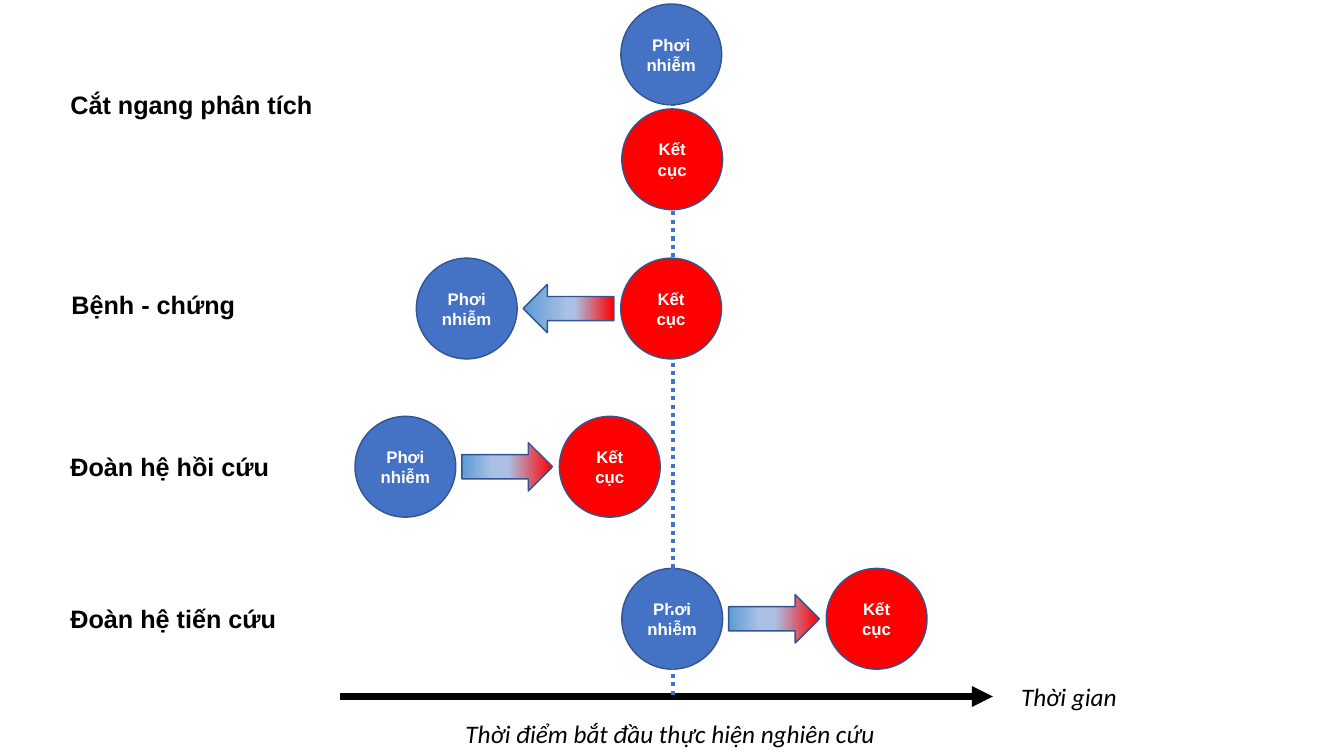
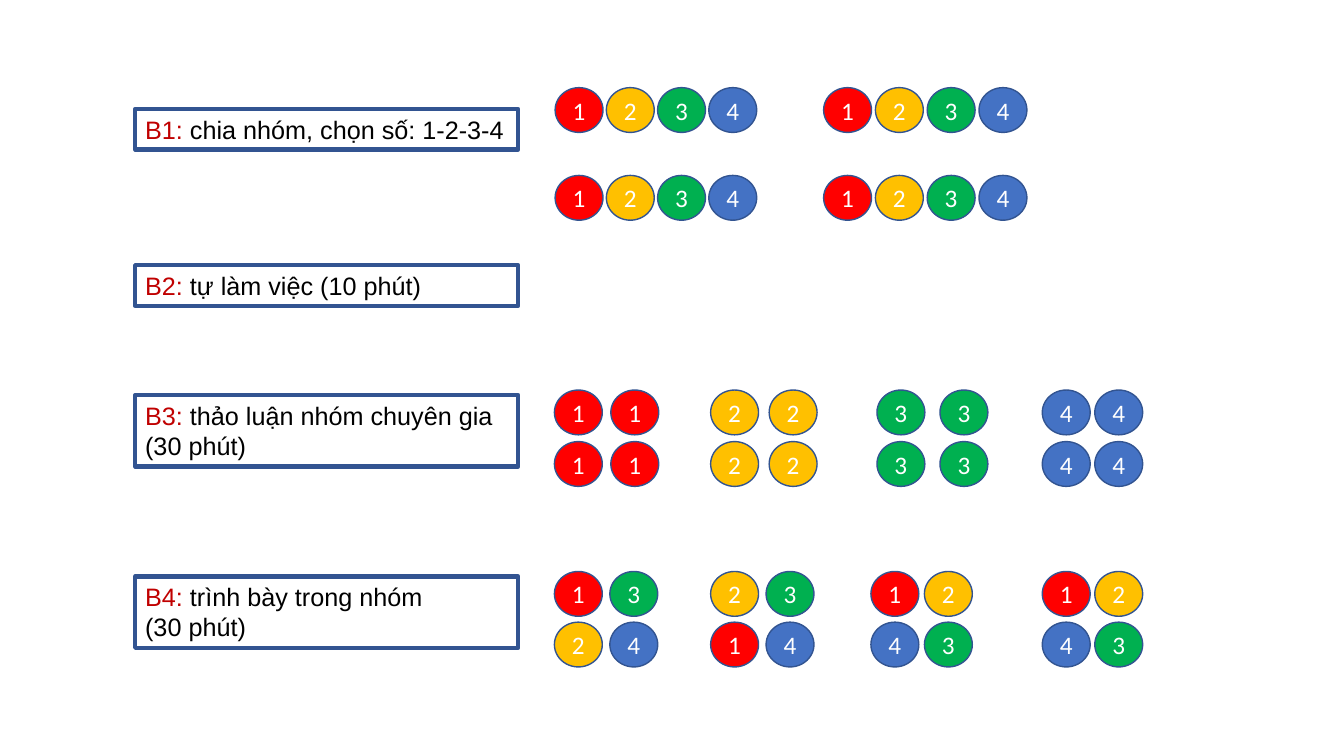
import dataclasses
import typing

import lxml.etree
import pptx
import pptx.dml.color
import pptx.enum.dml
import pptx.enum.shapes
import pptx.enum.text
import pptx.oxml
import pptx.oxml.ns
import pptx.util

Pt = pptx.util.Pt
SHAPE = pptx.enum.shapes.MSO_SHAPE
ALIGN = pptx.enum.text.PP_ALIGN
ANCHOR = pptx.enum.text.MSO_ANCHOR
AUTO_SIZE = pptx.enum.text.MSO_AUTO_SIZE

COLORS = {
    "blue": "4472C4",
    "red": "FF0000",
    "yellow": "FFC000",
    "green": "00B050",
    "outline": "325491",
    "sky": "5B9BD5",
    "pale": "ABC0E4",
    "step": "C00000",
    "black": "000000",
    "white": "FFFFFF",
}
NUMBER_COLORS = {"1": "red", "2": "yellow", "3": "green", "4": "blue"}

DISC = 72
ARROW_W, ARROW_H = 64.8, 34.6
ARROW_DX, OUTCOME_DX = 76.3, 146
NUMBER_W, NUMBER_H = 34.2, 32


@dataclasses.dataclass
class Design:
    """An exposure and an outcome joined by an arrow."""
    left: float
    top: float
    backward: bool = False


@dataclasses.dataclass
class Label:
    """One line of unwrapped text."""
    text: str
    left: float
    top: float
    width: float


@dataclasses.dataclass
class Step:
    """A framed instruction: its number and its paragraphs."""
    name: str
    lines: list[str]
    top: float
    height: float


@dataclasses.dataclass
class Cluster:
    """A grid of numbered discs, one string per row."""
    left: float
    top: float
    dx: float
    dy: float
    rows: list[str]


PROSPECTIVE = Design(444.2, 406)
EARLIER_DESIGNS = [Design(253.6, 297.4), Design(297.4, 184.4, backward=True)]

DESIGN_LABELS = [
    Label("Cắt ngang phân tích", 43.2, 60.5, 189.4),
    Label("Bệnh - chứng", 43.9, 203, 132.5),
    Label("Đoàn hệ hồi cứu", 43.2, 319, 157.7),
    Label("Đoàn hệ tiến cứu", 43.2, 427.7, 162.7),
]
AXIS_LABELS = [
    Label("Thời gian", 722.2, 483.1, 82.8),
    Label("Thời điểm bắt đầu thực hiện nghiên cứu", 325.4, 509.8, 310.3),
]

STEPS = [
    Step("B1:", ["chia nhóm, chọn số: 1-2-3-4"], 77.8, 29),
    Step("B2:", ["tự làm việc (10 phút)"], 189.4, 29),
    Step("B3:", ["thảo luận nhóm chuyên gia (30 phút)"], 282.2, 51),
    Step("B4:", ["trình bày trong nhóm", "(30 phút)"], 411.8, 51),
]
CLUSTERS = [
    Cluster(396.5, 62.6, 36.6, 62.7, ["1234", "1234"]),
    Cluster(588.3, 62.6, 37, 62.7, ["1234", "1234"]),
    Cluster(396, 278.6, 40.3, 36.8, ["11", "11"]),
    Cluster(507.6, 278.6, 41.8, 36.8, ["22", "22"]),
    Cluster(626.4, 278.6, 45, 36.8, ["33", "33"]),
    Cluster(744.5, 278.6, 37.5, 36.8, ["44", "44"]),
    Cluster(396, 408.2, 39.6, 36.2, ["13", "24"]),
    Cluster(507.6, 408.2, 39.6, 36.2, ["23", "14"]),
    Cluster(622.1, 408.2, 38.2, 36.2, ["12", "43"]),
    Cluster(744.5, 408.2, 37.5, 36.2, ["12", "43"]),
]


def rgb(name: str) -> pptx.dml.color.RGBColor:
    """Return the named colour."""
    return pptx.dml.color.RGBColor.from_string(COLORS[name])


def set_font(font: typing.Any, name: str, size: float,
             color: str | None = None, bold: bool = False,
             italic: bool = False) -> None:
    """Style a paragraph font."""
    font.name, font.size = name, Pt(size)
    font.bold, font.italic = bold, italic
    if color:
        font.color.rgb = rgb(color)


def add_outlined(slide: typing.Any, kind: typing.Any, left: float, top: float,
                 width: float, height: float, weight: float = 1) -> typing.Any:
    """Add a shadowless shape with the shared outline."""
    sp = slide.shapes.add_shape(kind, Pt(left), Pt(top), Pt(width), Pt(height))
    sp.shadow.inherit = False
    sp.line.color.rgb = rgb("outline")
    sp.line.width = Pt(weight)
    return sp


def add_disc(slide: typing.Any, left: float, top: float, width: float,
             height: float, fill: str, text: str, font: str, size: float,
             bold: bool = False) -> None:
    """Add a filled ellipse with centred white text."""
    sp = add_outlined(slide, SHAPE.OVAL, left, top, width, height)
    sp.fill.solid()
    sp.fill.fore_color.rgb = rgb(fill)
    tf = sp.text_frame
    tf.word_wrap = True
    tf.vertical_anchor = ANCHOR.MIDDLE
    p = tf.paragraphs[0]
    p.text = text
    p.alignment = ALIGN.CENTER
    set_font(p.font, font, size, "white", bold)


def add_exposure(slide: typing.Any, left: float, top: float) -> None:
    """Add the exposure disc."""
    add_disc(slide, left, top, DISC, DISC, "blue", "Phơi nhiễm", "Arial", 12, True)


def add_outcome(slide: typing.Any, left: float, top: float) -> None:
    """Add the outcome disc."""
    add_disc(slide, left, top, DISC, DISC, "red", "Kết cục", "Arial", 12, True)


def set_gradient(sp: typing.Any, stops: list[tuple[int, str]]) -> None:
    """Fill a shape from left to right with the given percent stops."""
    sp.fill.gradient()
    sp.fill.gradient_angle = 0
    qn = pptx.oxml.ns.qn
    stop_list = sp.element.spPr.find(".//" + qn("a:gsLst"))
    for old in list(stop_list):
        stop_list.remove(old)
    for percent, color in stops:
        gs = lxml.etree.SubElement(stop_list, qn("a:gs"), pos=str(percent * 1000))
        lxml.etree.SubElement(gs, qn("a:srgbClr"), val=COLORS[color])


def add_design(slide: typing.Any, design: Design) -> None:
    """Add an exposure, an outcome and the arrow between them."""
    add_exposure(slide, design.left, design.top)
    add_outcome(slide, design.left + OUTCOME_DX, design.top)
    kind = SHAPE.LEFT_ARROW if design.backward else SHAPE.RIGHT_ARROW
    sp = add_outlined(slide, kind, design.left + ARROW_DX,
                      design.top + (DISC - ARROW_H) / 2, ARROW_W, ARROW_H)
    middle = (49, 57) if design.backward else (34, 51)
    set_gradient(sp, [(0, "sky"), (middle[0], "pale"), (middle[1], "pale"), (100, "red")])


def add_label(slide: typing.Any, label: Label, font: str, bold: bool = False,
              italic: bool = False) -> None:
    """Add a text box that keeps its text on one line."""
    sp = slide.shapes.add_textbox(Pt(label.left), Pt(label.top), Pt(label.width), Pt(29))
    tf = sp.text_frame
    tf.word_wrap = False
    tf.auto_size = AUTO_SIZE.SHAPE_TO_FIT_TEXT
    p = tf.paragraphs[0]
    p.text = label.text
    set_font(p.font, font, 18, "black", bold, italic)


def add_line(slide: typing.Any, x1: float, y1: float, x2: float, y2: float,
             color: str, weight: float) -> typing.Any:
    """Add a straight shadowless connector."""
    line = slide.shapes.add_connector(pptx.enum.shapes.MSO_CONNECTOR.STRAIGHT,
                                      Pt(x1), Pt(y1), Pt(x2), Pt(y2))
    line.line.color.rgb = rgb(color)
    line.line.width = Pt(weight)
    lxml.etree.SubElement(line.element.spPr, pptx.oxml.ns.qn("a:effectLst"))
    return line


def add_step(slide: typing.Any, step: Step) -> None:
    """Add a framed step with its number in dark red."""
    sp = add_outlined(slide, SHAPE.RECTANGLE, 96.6, step.top, 273.6, step.height, 3)
    sp.fill.background()
    tf = sp.text_frame
    tf.word_wrap = True
    tf.auto_size = AUTO_SIZE.SHAPE_TO_FIT_TEXT
    tf.vertical_anchor = ANCHOR.TOP
    for i, text in enumerate(step.lines):
        p = tf.add_paragraph() if i else tf.paragraphs[0]
        p.alignment = ALIGN.LEFT
        set_font(p.font, "Arial", 18)
        runs = [(text, "black")] if i else [(step.name + " ", "step"), (text, "black")]
        for words, color in runs:
            r = p.add_run()
            r.text = words
            r.font.color.rgb = rgb(color)


def add_cluster(slide: typing.Any, cluster: Cluster) -> None:
    """Add a grid of numbered discs coloured by number."""
    for i, row in enumerate(cluster.rows):
        for j, number in enumerate(row):
            add_disc(slide, cluster.left + j * cluster.dx, cluster.top + i * cluster.dy,
                     NUMBER_W, NUMBER_H, NUMBER_COLORS[number], number, "Calibri", 18)


def build_designs(slide: typing.Any) -> None:
    """Draw the study designs along the time axis."""
    axis = add_line(slide, 242.6, 497.5, 709.2, 497.5, "black", 5)
    lxml.etree.SubElement(axis.line._get_or_add_ln(), pptx.oxml.ns.qn("a:tailEnd"),
                          type="triangle")
    add_design(slide, PROSPECTIVE)
    start = add_line(slide, 481, 72.7, 481, 496.8, "blue", 3)
    start.line.dash_style = pptx.enum.dml.MSO_LINE.ROUND_DOT
    for label in AXIS_LABELS:
        add_label(slide, label, "Calibri", italic=True)
    for label in DESIGN_LABELS:
        add_label(slide, label, "Arial", bold=True)
    for design in EARLIER_DESIGNS:
        add_design(slide, design)
    add_exposure(slide, 443.5, 2.9)
    add_outcome(slide, 444.2, 77.8)


def build_steps(slide: typing.Any) -> None:
    """Draw the group work steps and their groups."""
    for step in STEPS:
        add_step(slide, step)
    for cluster in CLUSTERS:
        add_cluster(slide, cluster)


def main() -> None:
    """Build and save the presentation."""
    prs = pptx.Presentation()
    prs.slide_width, prs.slide_height = Pt(960), Pt(540)
    for build in (build_designs, build_steps):
        build(prs.slides.add_slide(prs.slide_layouts[6]))
    prs.save("out.pptx")


main()
